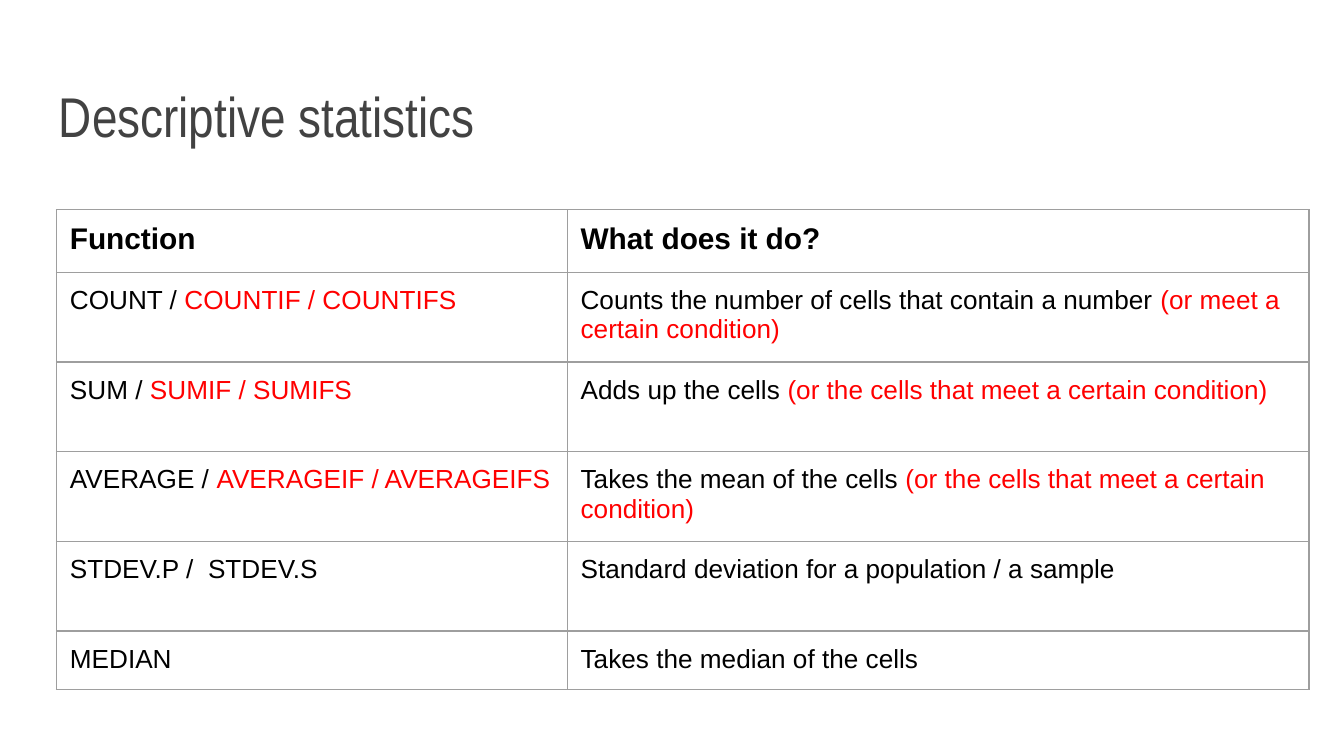
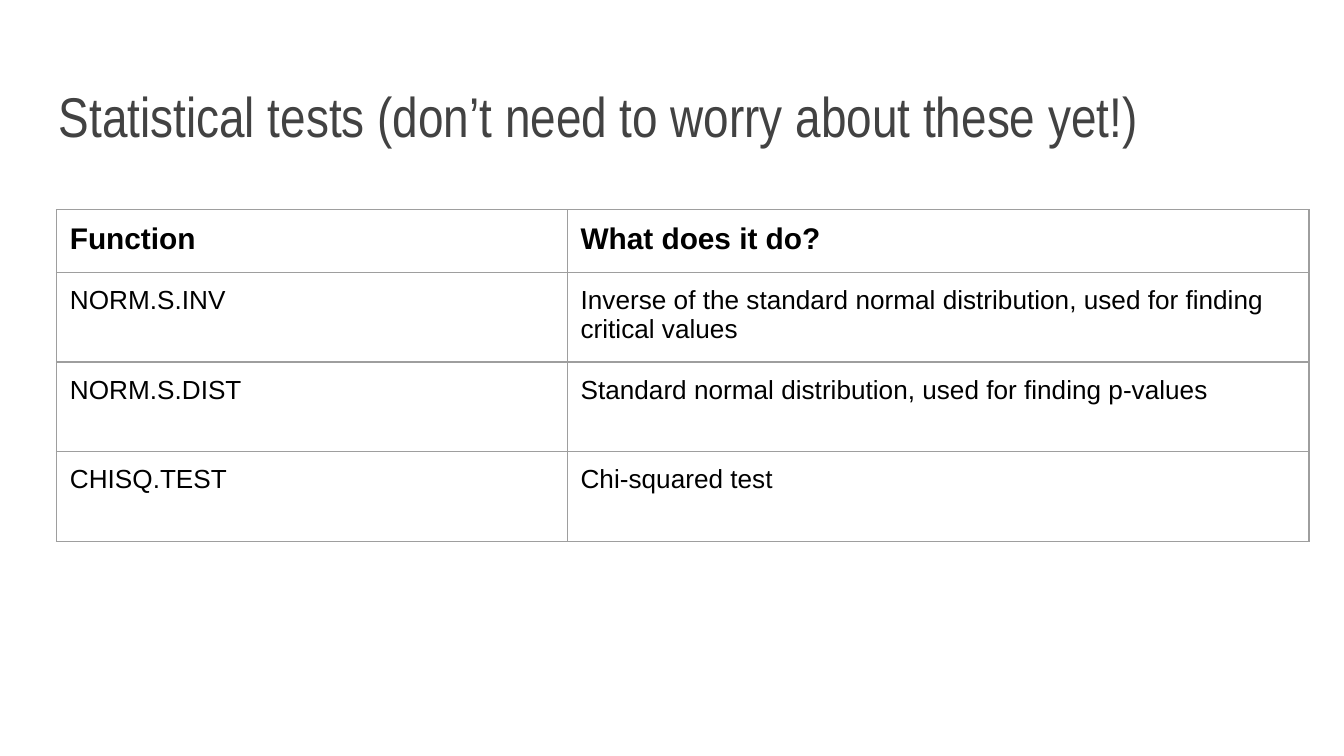
"""Build two slides that list spreadsheet functions for statistics."""
from dataclasses import dataclass

from lxml import etree
from pptx import Presentation
from pptx.dml.color import RGBColor
from pptx.enum.text import MSO_ANCHOR
from pptx.oxml.ns import qn
from pptx.util import Inches, Pt

BOTTOM, TOP = MSO_ANCHOR.BOTTOM, MSO_ANCHOR.TOP


@dataclass(frozen=True)
class Theme:
    background: str = "FFFFFF"
    title: str = "424242"
    body: str = "000000"
    conditional: str = "FF0000"
    border: str = "9E9E9E"
    title_font: str = "Arial Narrow"
    body_font: str = "Arial"
    title_size: int = 30
    header_size: int = 16
    body_size: int = 14
    border_width: float = 0.75


THEME = Theme()
SLIDE_SIZE = (10, 10 * 9 / 16)
TITLE_BOX = (0.34, 0.41, 9.32, 0.8)
TABLE_ORIGIN = (0.42, 1.56)
COLUMN_WIDTHS = (3.8, 5.52)
HEADER_HEIGHT, ROW_HEIGHT, SHORT_ROW_HEIGHT = 0.43, 2 / 3, 0.42
INSETS = dict.fromkeys(
    ("margin_left", "margin_top", "margin_right", "margin_bottom"), Inches(0.1))
HEADER = (("Function",), ("What does it do?",))

SLIDES = [
    {
        "title": "Descriptive statistics",
        "functions": [
            (("COUNT / ", "COUNTIF / COUNTIFS"),
             ("Counts the number of cells that contain a number ",
              "(or meet a certain condition)")),
            (("SUM / ", "SUMIF / SUMIFS"),
             ("Adds up the cells ", "(or the cells that meet a certain condition)")),
            (("AVERAGE / ", "AVERAGEIF / AVERAGEIFS"),
             ("Takes the mean of the cells ",
              "(or the cells that meet a certain condition)")),
            (("STDEV.P /  STDEV.S",),
             ("Standard deviation for a population / a sample",)),
            (("MEDIAN",), ("Takes the median of the cells",)),
        ],
        "last_height": SHORT_ROW_HEIGHT,
    },
    {
        "title": "Statistical tests (don’t need to worry about these yet!)",
        "functions": [
            (("NORM.S.INV",),
             ("Inverse of the standard normal distribution, "
              "used for finding critical values",)),
            (("NORM.S.DIST",),
             ("Standard normal distribution, used for finding p-values",)),
            (("CHISQ.TEST",), ("Chi-squared test",)),
        ],
        "last_height": ROW_HEIGHT,
    },
]


def set_all(target, values):
    for attribute, value in values.items():
        setattr(target, attribute, value)


def add_run(paragraph, text, color, **font):
    run = paragraph.add_run()
    run.text = text
    set_all(run.font, font)
    run.font.color.rgb = RGBColor.from_string(color)


def add_title(slide, title):
    box = slide.shapes.add_textbox(*map(Inches, TITLE_BOX))
    frame = box.text_frame
    set_all(frame, {**INSETS, "word_wrap": True, "vertical_anchor": BOTTOM})
    add_run(frame.paragraphs[0], title, THEME.title,
            name=THEME.title_font, size=Pt(THEME.title_size))


def add_borders(cell):
    properties = cell._tc.get_or_add_tcPr()
    for position, side in enumerate(("a:lnL", "a:lnR", "a:lnT", "a:lnB")):
        line = etree.Element(qn(side), w=str(Pt(THEME.border_width)))
        fill = etree.SubElement(line, qn("a:solidFill"))
        etree.SubElement(fill, qn("a:srgbClr"), val=THEME.border)
        properties.insert(position, line)


def fill_cell(cell, parts, is_header):
    set_all(cell, {**INSETS, "vertical_anchor": TOP})
    cell.fill.background()
    add_borders(cell)
    size = THEME.header_size if is_header else THEME.body_size
    paragraph = cell.text_frame.paragraphs[0]
    for text, color in zip(parts, (THEME.body, THEME.conditional)):
        add_run(paragraph, text, color,
                name=THEME.body_font, size=Pt(size), bold=is_header)
    etree.SubElement(paragraph._p, qn("a:endParaRPr"), sz=str(size * 100))


def add_function_table(slide, functions, last_height):
    rows = [HEADER, *functions]
    heights = [HEADER_HEIGHT, *[ROW_HEIGHT] * (len(functions) - 1), last_height]
    extent = (sum(COLUMN_WIDTHS), sum(heights))
    table = slide.shapes.add_table(
        len(rows), len(COLUMN_WIDTHS), *map(Inches, TABLE_ORIGIN + extent)).table
    set_all(table, {"first_row": False, "horz_banding": False})
    for column, width in zip(table.columns, COLUMN_WIDTHS):
        column.width = Inches(width)
    for r, (cells, height) in enumerate(zip(rows, heights)):
        table.rows[r].height = Inches(height)
        for c, parts in enumerate(cells):
            fill_cell(table.cell(r, c), parts, r == 0)


def main():
    deck = Presentation()
    deck.slide_width, deck.slide_height = map(Inches, SLIDE_SIZE)
    background = deck.slide_master.background.fill
    background.solid()
    background.fore_color.rgb = RGBColor.from_string(THEME.background)
    for content in SLIDES:
        slide = deck.slides.add_slide(deck.slide_layouts[6])
        add_title(slide, content["title"])
        add_function_table(slide, content["functions"], content["last_height"])
    deck.save("out.pptx")


if __name__ == "__main__":
    main()
